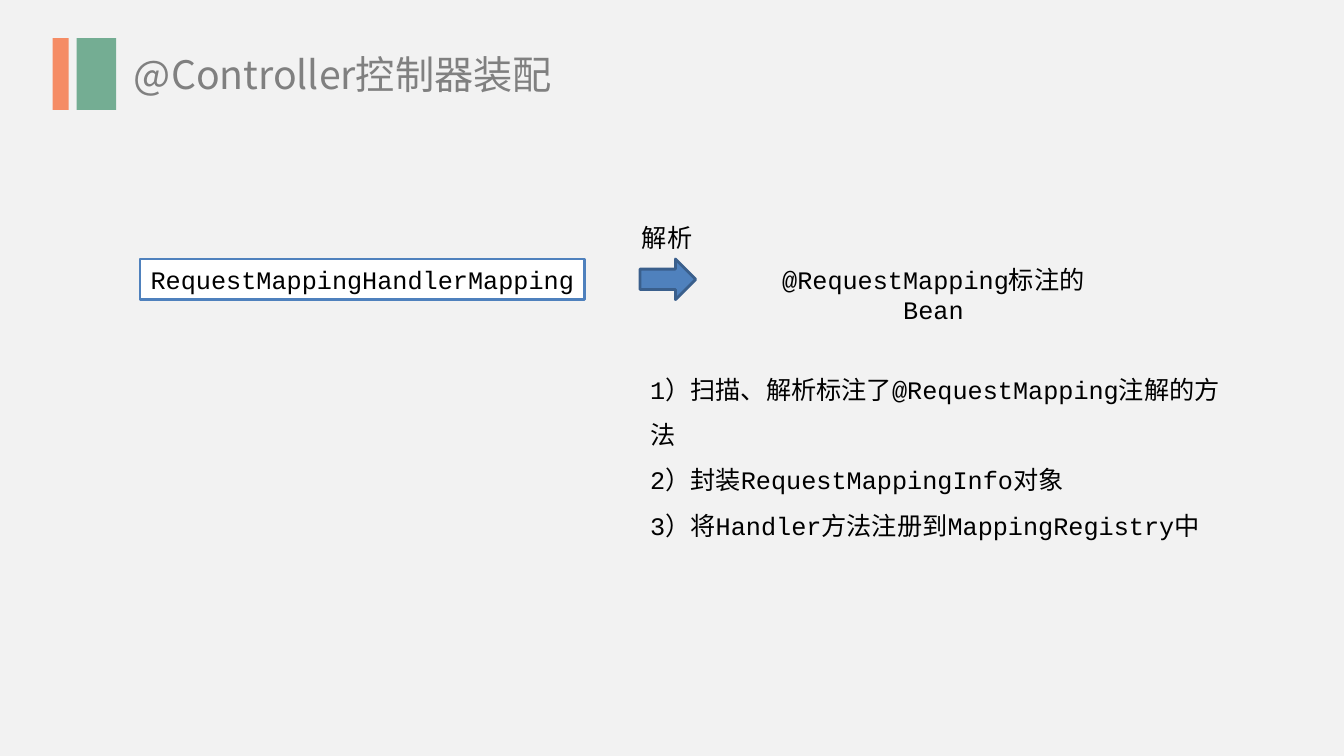
from dataclasses import dataclass

from lxml.etree import SubElement
from pptx import Presentation
from pptx.dml.color import RGBColor
from pptx.enum.shapes import MSO_SHAPE
from pptx.enum.text import MSO_ANCHOR, MSO_AUTO_SIZE, PP_ALIGN
from pptx.oxml.ns import qn
from pptx.util import Pt


@dataclass(frozen=True)
class Theme:
    background: str = "F2F2F2"
    orange: str = "F58C65"
    green: str = "74AD93"
    blue: str = "4F81BD"
    dark_blue: str = "3A5F8C"
    white: str = "FFFFFF"
    title_color: str = "808080"
    text_color: str = "000000"
    title_font: str = "Noto Sans CJK SC"
    text_font: str = "Courier New"
    title_size: int = 28
    text_size: int = 18
    line_width: int = 2


THEME = Theme()
FLOW_TOP = 185
FLOW_HEIGHT = 29
STEPS = (
    "1）扫描、解析标注了@RequestMapping注解的方法",
    "2）封装RequestMappingInfo对象",
    "3）将Handler方法注册到MappingRegistry中",
)


def rgb(color):
    return RGBColor.from_string(color)


def place(shape, left, top, width, height):
    shape.left, shape.top = Pt(left), Pt(top)
    shape.width, shape.height = Pt(width), Pt(height)


def write(shape, lines, align=PP_ALIGN.LEFT, wrap=True, spacing=1.0,
          font=THEME.text_font, size=THEME.text_size, color=THEME.text_color):
    """Fill a shape with one formatted paragraph per line, without bullets."""
    frame = shape.text_frame
    frame.text = "\n".join(lines)
    frame.word_wrap = wrap
    frame.auto_size = MSO_AUTO_SIZE.NONE
    frame.vertical_anchor = MSO_ANCHOR.TOP
    for paragraph in frame.paragraphs:
        paragraph.alignment = align
        paragraph.line_spacing = spacing
        paragraph.space_before = Pt(0)
        paragraph.font.name = font
        paragraph.font.size = Pt(size)
        paragraph.font.color.rgb = rgb(color)
        properties = paragraph._p.get_or_add_pPr()
        properties.set("marL", "0")
        properties.set("indent", "0")
        bullet_none = SubElement(properties, qn("a:buNone"))
        properties.find(qn("a:defRPr")).addprevious(bullet_none)


def add_label(slide, text, box, **style):
    label = slide.shapes.add_textbox(0, 0, 0, 0)
    place(label, *box)
    write(label, [text], **style)


def add_block(shapes, preset, box, fill, line=None):
    block = shapes.add_shape(preset, *map(Pt, box))
    block.shadow.inherit = False
    block.fill.solid()
    block.fill.fore_color.rgb = rgb(fill)
    if line:
        block.line.color.rgb = rgb(line)
        block.line.width = Pt(THEME.line_width)
    else:
        block.line.fill.background()
    return block


def add_header(slide):
    title = slide.shapes.title
    place(title, 88.5, 32.4, 320.5, 41)
    write(title, ["@Controller控制器装配"], wrap=False, font=THEME.title_font,
          size=THEME.title_size, color=THEME.title_color)
    bars = slide.shapes.add_group_shape().shapes
    add_block(bars, MSO_SHAPE.RECTANGLE, (37.6, 27.2, 11.5, 51.3), THEME.orange)
    add_block(bars, MSO_SHAPE.RECTANGLE, (54.8, 27.2, 28.2, 51.3), THEME.green)


def add_flow(slide):
    handler = add_block(slide.shapes, MSO_SHAPE.RECTANGLE,
                        (100, FLOW_TOP, 317.5, FLOW_HEIGHT), THEME.white, THEME.blue)
    write(handler, ["RequestMappingHandlerMapping"], align=PP_ALIGN.CENTER)
    add_block(slide.shapes, MSO_SHAPE.RIGHT_ARROW,
              (457.2, FLOW_TOP, 39.8, FLOW_HEIGHT), THEME.blue, THEME.dark_blue)
    add_label(slide, "解析", (451.4, 155.5, 51, FLOW_HEIGHT), wrap=False)
    add_label(slide, "@RequestMapping标注的Bean", (536.4, FLOW_TOP, 260.6, FLOW_HEIGHT),
              align=PP_ALIGN.CENTER)


def add_steps(slide):
    steps = slide.placeholders[1]
    place(steps, 457.2, 252.7, 430.6, 101.5)
    write(steps, STEPS, spacing=1.5)


def main():
    presentation = Presentation()
    presentation.slide_width, presentation.slide_height = Pt(960), Pt(540)
    slide = presentation.slides.add_slide(presentation.slide_layouts[1])
    slide.background.fill.solid()
    slide.background.fill.fore_color.rgb = rgb(THEME.background)
    add_header(slide)
    add_flow(slide)
    add_steps(slide)
    presentation.save("out.pptx")


if __name__ == "__main__":
    main()
